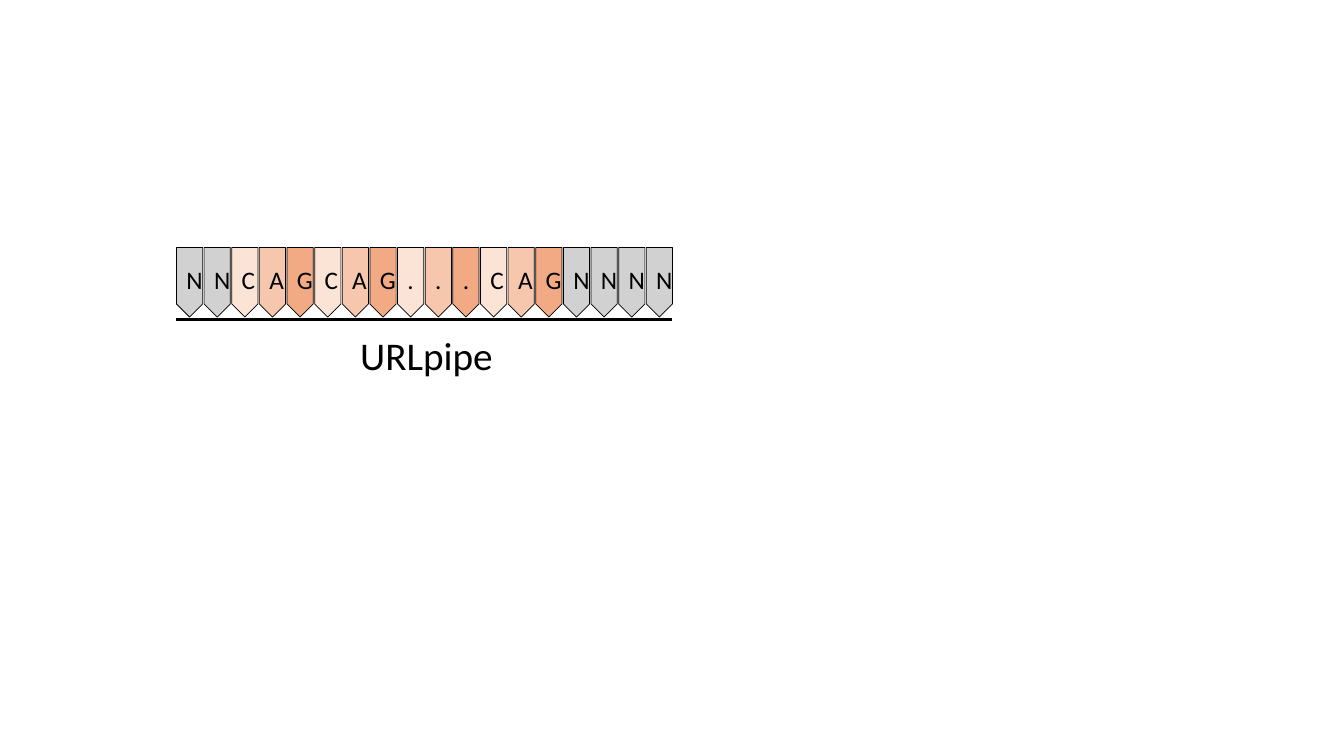
import pptx
import pptx.dml.color
import pptx.enum.shapes
import pptx.enum.text
import pptx.oxml.ns
import pptx.util
from lxml import etree

SEQUENCE = "NNCAGCAG...CAGNNNN"
REPEAT = range(2, 14)  # positions of the coloured CAG repeat
REPEAT_FILLS = ["FBE3D6", "F6C6AD", "F2AA84"]
FLANK_FILL = "D1D1D1"

# Columns and rows of the slide grid
STRAND_LEFT, STRAND_WIDTH, STRAND_ROW = 7, 19.68, 12.68
TAG_TOP, TAG_WIDTH, TAG_HEIGHT = 9.82, 1.04, 2.76
TAG_PITCH = (STRAND_WIDTH - TAG_WIDTH) / (len(SEQUENCE) - 1)


def color(value):
    return pptx.dml.color.RGBColor.from_string(value)


class Diagram:
    """Draws grouped elements on a slide, with lengths in grid cells."""

    cell = 0.25
    font = "Calibri"
    ink = "000000"

    def __init__(self, slide):
        self.shapes = slide.shapes.add_group_shape().shapes

    def grid(self, *cells):
        return [pptx.util.Inches(count * self.cell) for count in cells]

    def label(self, shape, text, size):
        paragraph = shape.text_frame.paragraphs[0]
        paragraph.alignment = pptx.enum.text.PP_ALIGN.CENTER
        run = paragraph.add_run()
        run.text = text
        run.font.name = self.font
        run.font.size = pptx.util.Pt(size)
        run.font.color.rgb = color(self.ink)

    def outline(self, shape, width):
        shape.line.color.rgb = color(self.ink)
        shape.line.width = pptx.util.Pt(width)

    def strand(self, left, row, width):
        line = self.shapes.add_connector(
            pptx.enum.shapes.MSO_CONNECTOR.STRAIGHT,
            *self.grid(left, row, left + width, row))
        self.outline(line, 2)
        etree.SubElement(line._element.spPr, pptx.oxml.ns.qn("a:effectLst"))

    def tag(self, base, left, top, width, height, fill):
        """Add a downward pentagon, turned about its centre, with upright text."""
        turned_left = left + (width - height) / 2
        turned_top = top + (height - width) / 2
        shape = self.shapes.add_shape(
            pptx.enum.shapes.MSO_SHAPE.PENTAGON,
            *self.grid(turned_left, turned_top, height, width))
        shape.rotation = 90
        shape.shadow.inherit = False
        shape.fill.solid()
        shape.fill.fore_color.rgb = color(fill)
        self.outline(shape, 0.5)
        shape.text_frame.vertical_anchor = pptx.enum.text.MSO_ANCHOR.MIDDLE
        shape.text_frame._txBody.bodyPr.set("vert", "vert270")
        self.label(shape, base, 18)

    def caption(self, text, left, top, width, height):
        box = self.shapes.add_textbox(*self.grid(left, top, width, height))
        box.text_frame.word_wrap = True
        box.text_frame.auto_size = pptx.enum.text.MSO_AUTO_SIZE.SHAPE_TO_FIT_TEXT
        self.label(box, text, 28)


def main():
    presentation = pptx.Presentation()
    presentation.slide_width = pptx.util.Inches(13.33)
    presentation.slide_height = pptx.util.Inches(7.5)
    slide = presentation.slides.add_slide(presentation.slide_layouts[6])

    diagram = Diagram(slide)
    diagram.strand(STRAND_LEFT, STRAND_ROW, STRAND_WIDTH)
    for index, base in enumerate(SEQUENCE):
        fill = FLANK_FILL
        if index in REPEAT:
            fill = REPEAT_FILLS[(index - REPEAT.start) % len(REPEAT_FILLS)]
        diagram.tag(base, STRAND_LEFT + index * TAG_PITCH, TAG_TOP,
                    TAG_WIDTH, TAG_HEIGHT, fill)
    diagram.caption("URLpipe", 12.8, 12.96, 8.24, 2.28)

    presentation.save("out.pptx")


if __name__ == "__main__":
    main()
